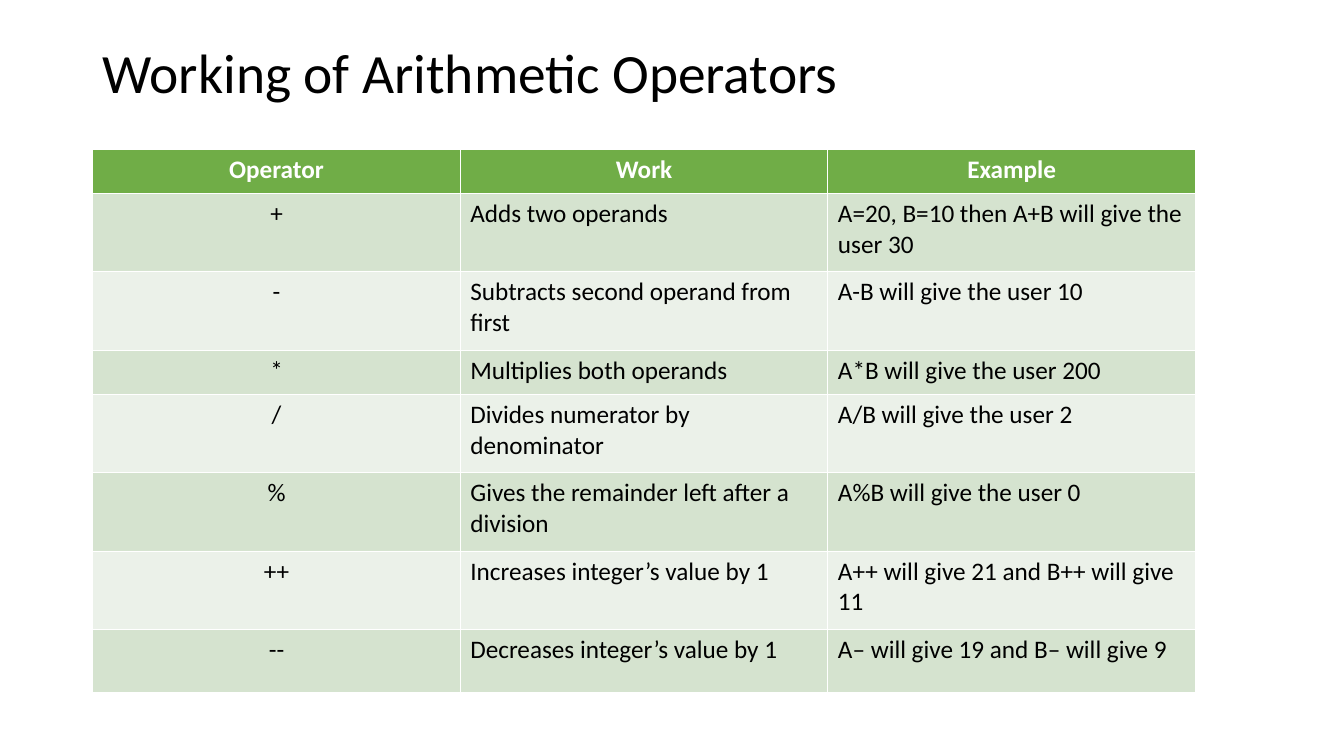
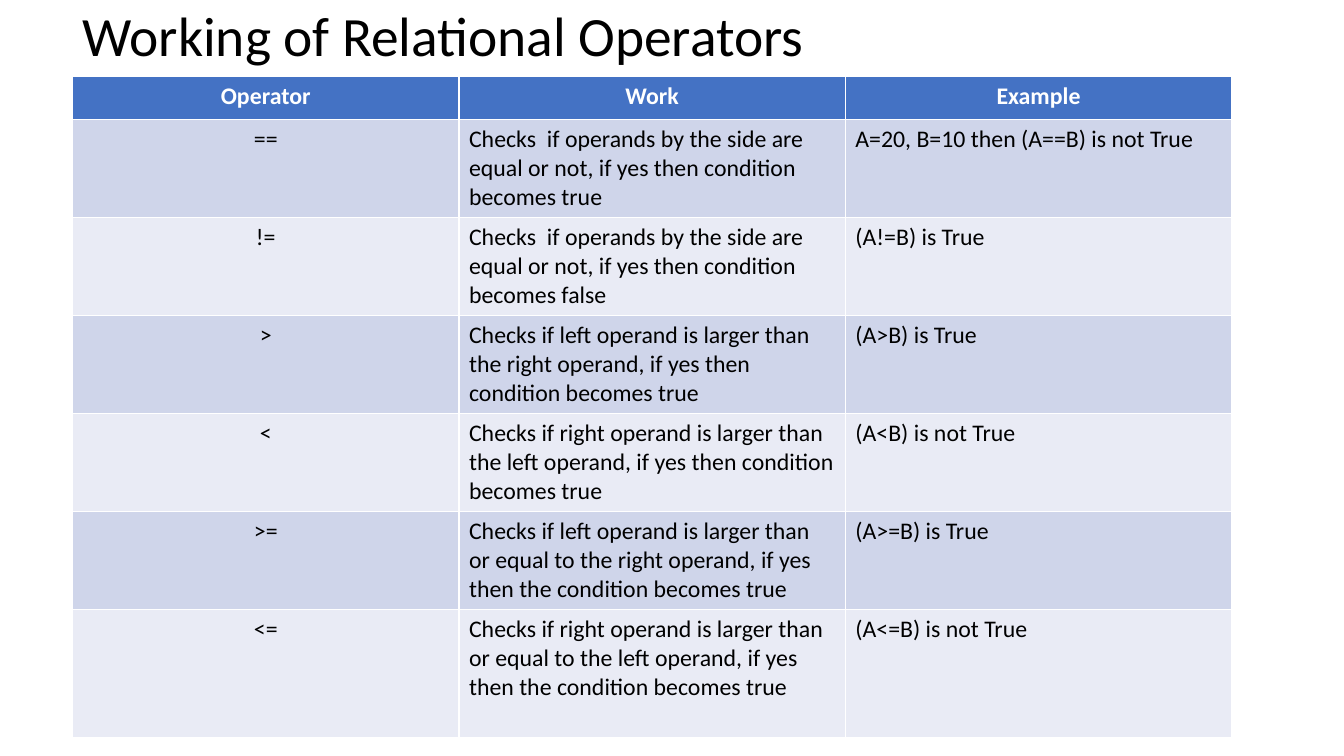
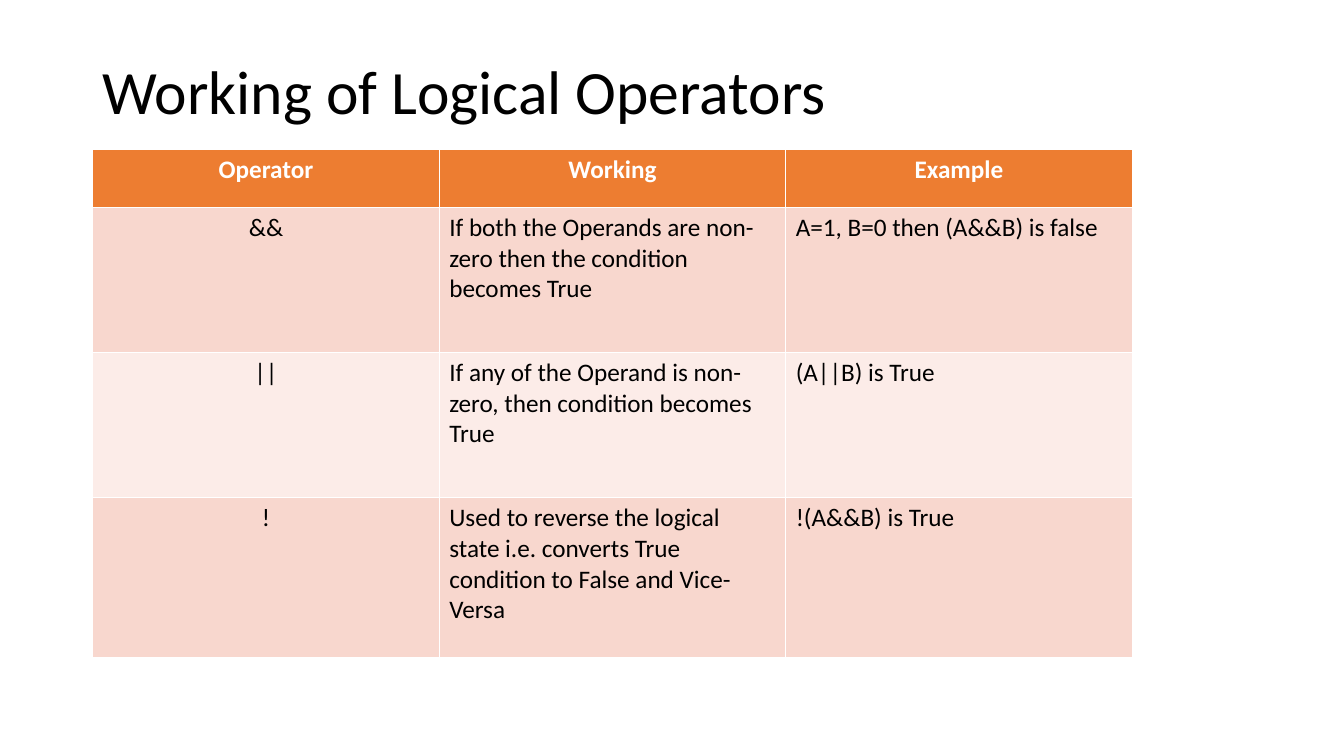
"""Build three slides that explain operators, each a title above a banded table."""
from dataclasses import dataclass, field

from pptx import Presentation
from pptx import util as u
from pptx.dml.color import RGBColor
from pptx.enum import text


@dataclass(frozen=True)
class Theme:
    """Colours, type sizes and font shared by the slides."""
    font: str = "Calibri"
    ink: str = "000000"
    paper: str = "FFFFFF"
    title: float = 39.6
    title_large: float = 44
    body: float = 18
    body_small: float = 17
    green: tuple[str, ...] = ("70AD47", "D5E3CF", "EBF1E9")
    blue: tuple[str, ...] = ("4472C4", "CFD5EA", "E9EBF5")
    orange: tuple[str, ...] = ("ED7D31", "F8D7CE", "FCECE8")


T = Theme()
WIDTH, HEIGHT = u.Inches(13.333), u.Inches(7.5)


@dataclass(frozen=True)
class OperatorSlide:
    """One slide; lengths are percentages of the slide's width or height."""
    title: str
    title_top: float
    title_height: float
    table_top: float
    left: float
    width: float
    heights: list[float]
    colours: tuple[str, ...]
    rows: list[tuple[str, str, str]] = field(default_factory=list)
    title_size: float = T.title
    body_size: float = T.body


SLIDES = [
    OperatorSlide(
        "Working of Arithmetic Operators", 5.3, 9.33, 19.73, 6.9, 82.05,
        [5.87, 10.36, 10.36, 5.87, 10.36, 10.36, 10.36, 8.4], T.green,
        [("Operator", "Work", "Example"),
         ("+", "Adds two operands", "A=20, B=10 then A+B will give the user 30"),
         ("-", "Subtracts second operand from first", "A-B will give the user 10"),
         ("*", "Multiplies both operands", "A*B will give the user 200"),
         ("/", "Divides numerator by denominator", "A/B will give the user 2"),
         ("%", "Gives the remainder left after a division", "A%B will give the user 0"),
         ("++", "Increases integer’s value by 1", "A++ will give 21 and B++ will give 11"),
         ("--", "Decreases integer’s value by 1", "A– will give 19 and B– will give 9")]),
    OperatorSlide(
        "Working of Relational Operators", 0, 10.13, 10.13, 5.4, 86.25,
        [5.7] + [12.96] * 5 + [17], T.blue,
        [("Operator", "Work", "Example"),
         ("==", "Checks  if operands by the side are equal or not, if yes then condition "
          "becomes true", "A=20, B=10 then (A==B) is not True"),
         ("!=", "Checks  if operands by the side are equal or not, if yes then condition "
          "becomes false", "(A!=B) is True"),
         (">", "Checks if left operand is larger than the right operand, if yes then "
          "condition becomes true", "(A>B) is True"),
         ("<", "Checks if right operand is larger than the left operand, if yes then "
          "condition becomes true", "(A<B) is not True"),
         (">=", "Checks if left operand is larger than or equal to the right operand, "
          "if yes then the condition becomes true", "(A>=B) is True"),
         ("<=", "Checks if right operand is larger than or equal to the left operand, "
          "if yes then the condition becomes true", "(A<=B) is not True")],
        body_size=T.body_small),
    OperatorSlide(
        "Working of Logical Operators", 5.3, 14.4, 19.73, 6.9, 77.35,
        [7.68, 19.2, 19.2, 21.2], T.orange,
        [("Operator", "Working", "Example"),
         ("&&", "If both the Operands are non-zero then the condition becomes True",
          "A=1, B=0 then (A&&B) is false"),
         ("||", "If any of the Operand is non-zero, then condition becomes True",
          "(A||B) is True"),
         ("!", "Used to reverse the logical state i.e. converts True condition to False "
          "and Vice-Versa", "!(A&&B) is True")],
        title_size=T.title_large),
]


def across(share: float) -> int:
    """Turn a percentage of the slide's width into a length."""
    return round(WIDTH * share / 100)


def down(share: float) -> int:
    """Turn a percentage of the slide's height into a length."""
    return round(HEIGHT * share / 100)


def write(p, words: str, size: float, colour: str, bold: bool = False) -> None:
    """Add one formatted run to a paragraph."""
    r = p.add_run()
    r.text = words
    for name, value in {"name": T.font, "size": u.Pt(size), "bold": bold}.items():
        setattr(r.font, name, value)
    r.font.color.rgb = RGBColor.from_string(colour)


def add_title(s, item: OperatorSlide) -> None:
    """Add the slide's title, centred vertically in its box."""
    sp = s.shapes.add_textbox(across(item.left), down(item.title_top),
                              across(item.width), down(item.title_height))
    tf = sp.text_frame
    for name, value in {"word_wrap": True, "vertical_anchor": text.MSO_ANCHOR.MIDDLE}.items():
        setattr(tf, name, value)
    p = tf.paragraphs[0]
    p.line_spacing = 0.9
    write(p, item.title, item.title_size, T.ink)


def add_operators(s, item: OperatorSlide) -> None:
    """Add the operator table with a header row and alternating bands."""
    columns = len(item.rows[0])
    table = s.shapes.add_table(len(item.rows), columns, across(item.left),
                               down(item.table_top), across(item.width),
                               down(sum(item.heights))).table
    header, *bands = item.colours
    for i, (words, height) in enumerate(zip(item.rows, item.heights)):
        table.rows[i].height = down(height)
        is_header = i == 0
        for j, word in enumerate(words):
            cell = table.cell(i, j)
            cell.fill.solid()
            cell.fill.fore_color.rgb = RGBColor.from_string(
                header if is_header else bands[(i - 1) % len(bands)])
            p = cell.text_frame.paragraphs[0]
            if is_header or j == 0:
                p.alignment = text.PP_ALIGN.CENTER
            write(p, word, item.body_size, T.paper if is_header else T.ink, is_header)


def main() -> None:
    """Build and save the presentation."""
    prs = Presentation()
    prs.slide_width, prs.slide_height = WIDTH, HEIGHT
    for item in SLIDES:
        s = prs.slides.add_slide(prs.slide_layouts[6])
        add_title(s, item)
        add_operators(s, item)
    prs.save("out.pptx")


if __name__ == "__main__":
    main()
